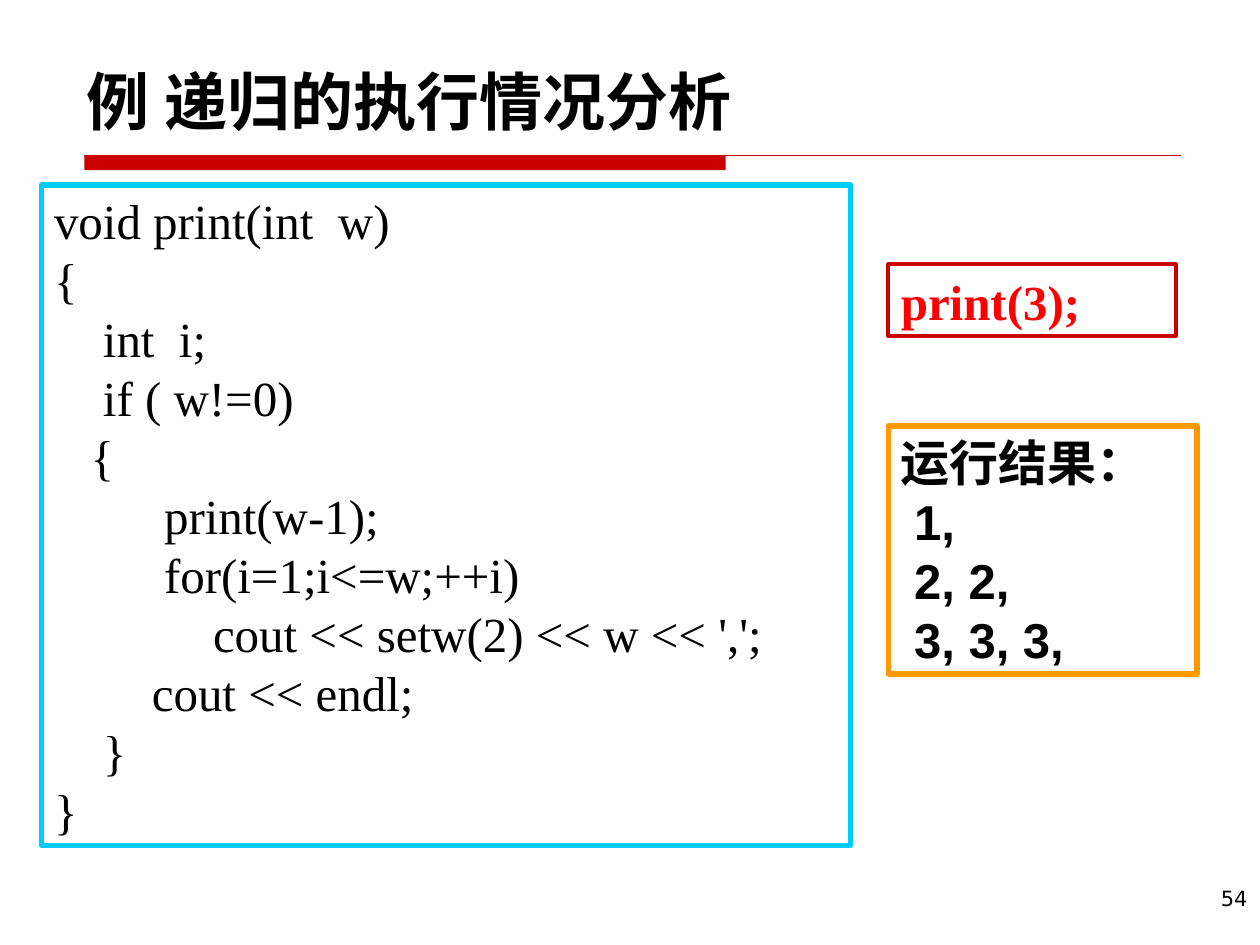
from lxml import etree
from pptx import Presentation
from pptx import util as u
from pptx.dml.color import RGBColor
from pptx.enum import shapes, text
from pptx.oxml.ns import qn

CJK_FONT = "Noto Sans CJK SC"
RED = "CC0000"
BODY_SIZE = 28
BODY_SPACING = u.Pt(33.7)

CODE = """void print(int  w)
{
    int  i;
    if ( w!=0)
   {
         print(w-1);
         for(i=1;i<=w;++i)
             cout << setw(2) << w << ',';
        cout << endl;
    }
}"""
RESULTS = ["运行结果：", "1,", "2, 2,", "3, 3, 3,"]


def colour(value):
    return RGBColor.from_string(value)


def write(shape, lines, font, size, hex_colour="000000", bold=False, spacing=None):
    """Fill the shape with one left-aligned paragraph for each line."""
    frame = shape.text_frame
    frame.word_wrap = True
    frame.text = "\n".join(lines)
    for para in frame.paragraphs:
        para.alignment = text.PP_ALIGN.LEFT
        para.line_spacing = spacing
        for span in para.runs:
            span.font.name = font
            span.font.size = u.Pt(size)
            span.font.bold = bold
            span.font.color.rgb = colour(hex_colour)
            east_asian = etree.SubElement(span.font._element, qn("a:ea"))
            east_asian.set("typeface", CJK_FONT)
    return frame


def add_frame(page, left, top, width, height, line_colour, line_width):
    frame = page.shapes.add_shape(shapes.MSO_SHAPE.RECTANGLE, left, top, width, height)
    frame.shadow.inherit = False
    frame.fill.background()
    frame.line.color.rgb = colour(line_colour)
    frame.line.width = u.Pt(line_width)
    frame.text_frame.vertical_anchor = text.MSO_ANCHOR.MIDDLE
    return frame


def add_heading(page, left, top, width, height):
    title = page.shapes.add_textbox(left, top, u.Cm(15.04), u.Cm(1.78))
    write(title, ["例 递归的执行情况分析"], CJK_FONT, 36, bold=True)

    rule_left, rule_top = left + u.Cm(0.2), top + height - u.Cm(0.3)
    bar = page.shapes.add_shape(shapes.MSO_SHAPE.RECTANGLE, rule_left, rule_top,
                                u.Cm(12.93), u.Cm(0.3))
    bar.shadow.inherit = False
    bar.fill.solid()
    bar.fill.fore_color.rgb = colour(RED)
    bar.line.fill.background()

    rule = page.shapes.add_connector(shapes.MSO_CONNECTOR.STRAIGHT, rule_left, rule_top,
                                     left + width, rule_top)
    rule.line.color.rgb = colour(RED)
    rule.line.width = u.Pt(0.75)
    etree.SubElement(rule._element.spPr, qn("a:effectLst"))


def add_code(page, left, top, width, height):
    listing = add_frame(page, left, top, width, height, "00CCFF", 3)
    write(listing, CODE.split("\n"), "Times New Roman", BODY_SIZE, spacing=BODY_SPACING)


def add_call(page, left, top, width, height):
    call = add_frame(page, left, top, width, height, RED, 2.25)
    write(call, ["print(3);"], "Times New Roman", BODY_SIZE, "FF0000", True, BODY_SPACING)


def add_results(page, left, top, width, height):
    output = add_frame(page, left, top, width, height, "FF9900", 3)
    frame = write(output, RESULTS, "Arial", BODY_SIZE, bold=True, spacing=BODY_SPACING)
    for para in frame.paragraphs[1:]:
        para._p.get_or_add_pPr().set("marL", str(u.Cm(0.27)))


def add_page_number(page, left, top, width, height):
    number = page.shapes.add_textbox(left, top, width, height)
    frame = write(number, ["54"], "DejaVu Sans", 12)
    frame.paragraphs[0].alignment = text.PP_ALIGN.RIGHT


def main():
    deck = Presentation()
    deck.slide_width, deck.slide_height = u.Cm(25.4), u.Cm(19.05)
    page = deck.slides.add_slide(deck.slide_layouts[6])
    right_column = u.Cm(17.91)

    add_heading(page, u.Cm(1.5), u.Cm(1.14), u.Cm(22.3), u.Cm(2.29))
    add_page_number(page, u.Cm(19.96), u.Cm(17.73), u.Cm(5.44), u.Cm(1.32))
    add_code(page, u.Cm(0.84), u.Cm(3.73), u.Cm(16.31), u.Cm(13.31))
    add_results(page, right_column, u.Cm(8.59), u.Cm(6.22), u.Cm(5))
    add_call(page, right_column, u.Cm(5.33), u.Cm(5.79), u.Cm(1.45))
    deck.save("out.pptx")


if __name__ == "__main__":
    main()
